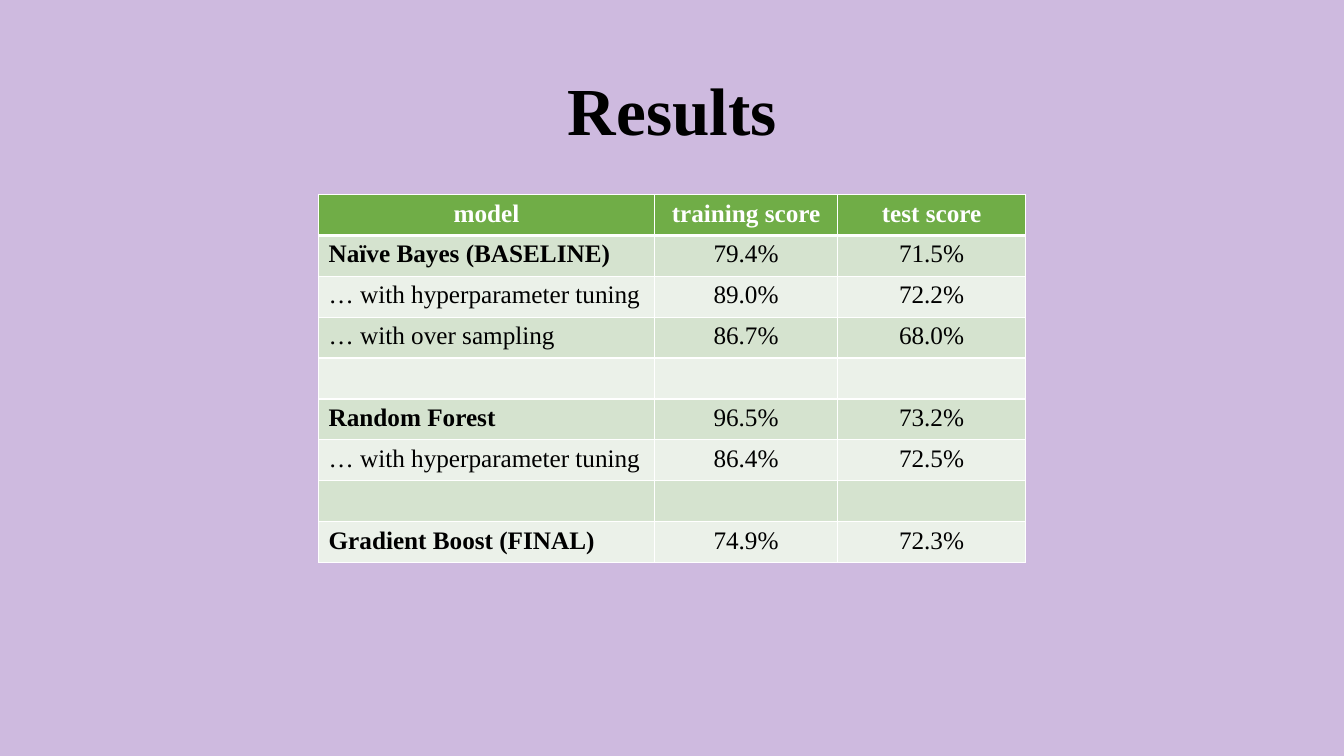
from pptx import Presentation
from pptx.dml.color import RGBColor
from pptx.enum import text
from pptx.oxml import parse_xml
from pptx.oxml import ns
from pptx.util import Inches, Pt

LILAC = RGBColor(0xCE, 0xBA, 0xDF)
GREEN = RGBColor(0x70, 0xAD, 0x47)
SAGE = RGBColor(0xD5, 0xE3, 0xCF)
MIST = RGBColor(0xEB, 0xF1, 0xE9)
WHITE = RGBColor(0xFF, 0xFF, 0xFF)
BLACK = RGBColor(0, 0, 0)
FACE = "Times New Roman"
WIDTHS = (3.33, 1.82, 1.86)
BLANK = ("", "", "")
SCORES = (
    ("model", "training score", "test score"),
    ("Naïve Bayes (BASELINE)", "79.4%", "71.5%"),
    ("… with hyperparameter tuning", "89.0%", "72.2%"),
    ("… with over sampling", "86.7%", "68.0%"),
    BLANK,
    ("Random Forest", "96.5%", "73.2%"),
    ("… with hyperparameter tuning", "86.4%", "72.5%"),
    BLANK,
    ("Gradient Boost (FINAL)", "74.9%", "72.3%"),
)


def style(para, size, color, bold, align):
    """Format a paragraph and its runs."""
    para.alignment = align
    for item in (para, *para.runs):
        item.font.name = FACE
        item.font.size = Pt(size)
        item.font.bold = bold
        item.font.color.rgb = color


def edge(cell, side, width):
    """Draw one white border of a cell."""
    cell._tc.get_or_add_tcPr().append(parse_xml(
        f'<a:{side} {ns.nsdecls("a")} w="{Pt(width)}"><a:solidFill>'
        f'<a:srgbClr val="{WHITE}"/></a:solidFill></a:{side}>'))


def add_title(slide, left, top, width, height):
    """Place the slide title in its box."""
    title = slide.shapes.title
    title.left, title.top = Inches(left), Inches(top)
    title.width, title.height = Inches(width), Inches(height)
    frame = title.text_frame
    frame.text = "Results"
    frame.vertical_anchor = text.MSO_ANCHOR.MIDDLE
    para = frame.paragraphs[0]
    para.line_spacing = 0.9
    style(para, 48, BLACK, True, text.PP_ALIGN.CENTER)


def fill_cell(cell, words, row, col):
    """Write and format one cell of the score table."""
    head = row == 0
    for side in ("lnL", "lnR", "lnT", "lnB"):
        thick = (head and side == "lnB") or (row == 1 and side == "lnT")
        edge(cell, side, 3 if thick else 1)
    cell.fill.solid()
    cell.fill.fore_color.rgb = GREEN if head else SAGE if row % 2 else MIST
    cell.text_frame.text = words
    bold = head or (col == 0 and not words.startswith("…"))
    align = text.PP_ALIGN.CENTER if head or col else text.PP_ALIGN.LEFT
    style(cell.text_frame.paragraphs[0], 18, WHITE if head else BLACK, bold, align)


def add_scores(slide, left, top, width, height):
    """Place the table of model scores in its box."""
    table = slide.shapes.add_table(
        len(SCORES), len(WIDTHS), Inches(left), Inches(top),
        Inches(width), Inches(height)).table
    for column, share in zip(table.columns, WIDTHS):
        column.width = Inches(width * share / sum(WIDTHS))
    for row, line in enumerate(SCORES):
        for col, words in enumerate(line):
            fill_cell(table.cell(row, col), words, row, col)


def main():
    """Build the results slide and save it."""
    deck = Presentation()
    deck.slide_width, deck.slide_height = Inches(13.33), Inches(7.5)
    slide = deck.slides.add_slide(deck.slide_layouts[5])
    slide.background.fill.solid()
    slide.background.fill.fore_color.rgb = LILAC
    add_title(slide, 0.92, 0.4, 11.5, 1.45)
    add_scores(slide, 3.16, 1.93, 7.01, 3.65)
    deck.save("out.pptx")


if __name__ == "__main__":
    main()
